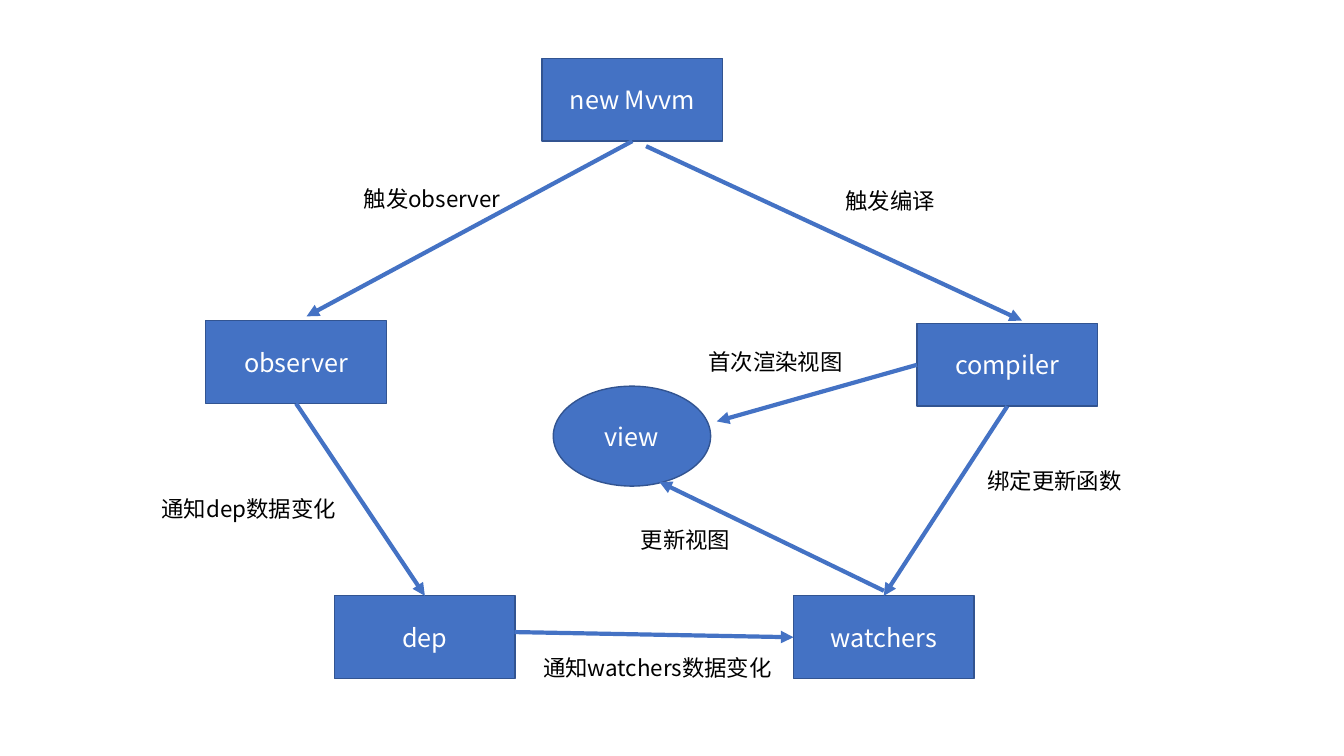
from dataclasses import dataclass
from lxml import etree
from pptx import Presentation
from pptx.dml.color import RGBColor
from pptx.enum.shapes import MSO_CONNECTOR, MSO_SHAPE
from pptx.enum.text import MSO_ANCHOR, MSO_AUTO_SIZE, PP_ALIGN
from pptx.oxml.ns import qn
from pptx.util import Pt

RECT, OVAL = MSO_SHAPE.RECTANGLE, MSO_SHAPE.OVAL
STRAIGHT = MSO_CONNECTOR.STRAIGHT
MIDDLE, CENTER = MSO_ANCHOR.MIDDLE, PP_ALIGN.CENTER
FIT_SHAPE = MSO_AUTO_SIZE.SHAPE_TO_FIT_TEXT
TOP, LEFT, BOTTOM = 0, 1, 2


@dataclass(frozen=True)
class Theme:
    font: str = "Noto Sans CJK SC"
    fill: RGBColor = RGBColor(0x44, 0x72, 0xC4)
    outline: RGBColor = RGBColor(0x32, 0x54, 0x91)
    light: RGBColor = RGBColor(0xFF, 0xFF, 0xFF)
    dark: RGBColor = RGBColor(0, 0, 0)
    node_size: int = 18
    label_size: int = 16
    outline_width: int = 1
    arrow_width: int = 3


theme = Theme()
BOX = (129, 59.2)
LABEL_HEIGHT = 26.6

NODES = [
    ("new Mvvm", RECT, 387.2, 41.6, BOX),
    ("compiler", RECT, 655, 231, BOX),
    ("observer", RECT, 147, 229, BOX),
    ("dep", RECT, 239, 425.6, BOX),
    ("watchers", RECT, 566.8, 425.6, BOX),
    ("view", OVAL, 395.2, 275.8, (112.4, 71.4)),
]
ARROWS = [
    (("new Mvvm", BOTTOM), (219, 226)),
    ((461.5, 104.4), (730, 229)),
    (("compiler", BOTTOM), ("watchers", TOP)),
    (("compiler", LEFT), (512, 301)),
    (("observer", BOTTOM), ("dep", TOP)),
    ((367.5, 451.5), ("watchers", LEFT)),
    ((631.4, 422), (471, 344.2)),
]
LABELS = [
    ("触发observer", 252.7, 128.4, 209),
    ("触发编译", 597, 130.2, 147),
    ("首次渲染视图", 499, 245.4, 170),
    ("绑定更新函数", 698.4, 329.8, 147),
    ("通知dep数据变化", 108.4, 350.2, 165),
    ("更新视图", 450.6, 372.4, 147),
    ("通知watchers数据变化", 381, 463.6, 186),
]


def add_text(tf, text, size, color):
    r = tf.paragraphs[0].add_run()
    r.text = text
    r.font.size = Pt(size)
    r.font.name = theme.font
    r.font.color.rgb = color
    etree.SubElement(r.font._element, qn("a:ea"), typeface=theme.font)


def add_node(s, text, kind, x, y, size):
    sp = s.shapes.add_shape(kind, Pt(x), Pt(y), *map(Pt, size))
    sp.shadow.inherit = False
    sp.fill.solid()
    sp.fill.fore_color.rgb = theme.fill
    sp.line.color.rgb = theme.outline
    sp.line.width = Pt(theme.outline_width)
    tf = sp.text_frame
    tf.vertical_anchor = MIDDLE
    tf.paragraphs[0].alignment = CENTER
    add_text(tf, text, theme.node_size, theme.light)
    return sp


def add_arrow(s, nodes, start, end):
    glued = [isinstance(spot[0], str) for spot in (start, end)]
    x1, y1 = (0, 0) if glued[0] else start
    x2, y2 = (0, 0) if glued[1] else end
    line = s.shapes.add_connector(STRAIGHT, Pt(x1), Pt(y1), Pt(x2), Pt(y2))
    if glued[0]:
        line.begin_connect(nodes[start[0]], start[1])
    if glued[1]:
        line.end_connect(nodes[end[0]], end[1])
    line.line.color.rgb = theme.fill
    line.line.width = Pt(theme.arrow_width)
    props = line._element.spPr
    etree.SubElement(props.find(qn("a:ln")), qn("a:tailEnd"), type="triangle")
    etree.SubElement(props, qn("a:effectLst"))


def add_label(s, text, x, y, width):
    sp = s.shapes.add_textbox(Pt(x), Pt(y), Pt(width), Pt(LABEL_HEIGHT))
    tf = sp.text_frame
    tf.word_wrap = True
    tf.auto_size = FIT_SHAPE
    add_text(tf, text, theme.label_size, theme.dark)


prs = Presentation()
prs.slide_width, prs.slide_height = Pt(960), Pt(540)
s = prs.slides.add_slide(prs.slide_layouts[6])

nodes = {node[0]: add_node(s, *node) for node in NODES}
for start, end in ARROWS:
    add_arrow(s, nodes, start, end)
for label in LABELS:
    add_label(s, *label)

prs.save("out.pptx")
